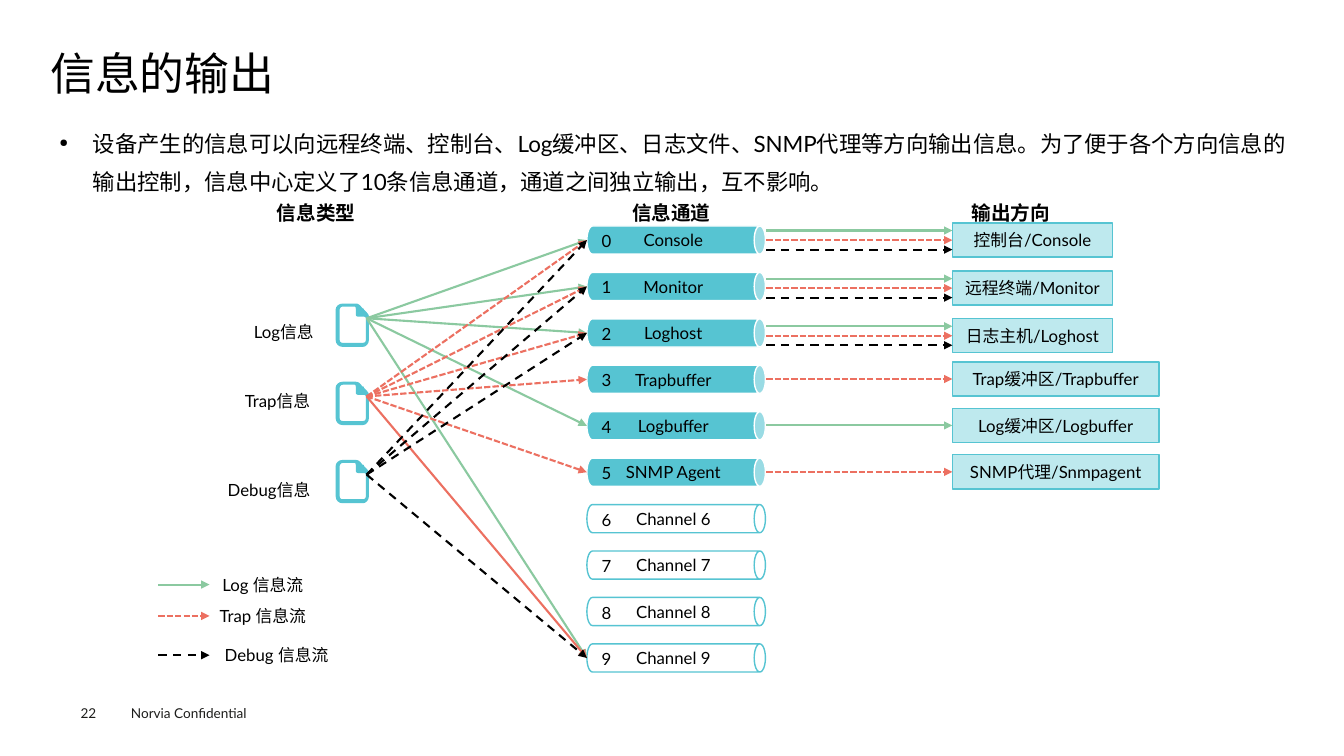
import pptx
import pptx.util
import pptx.dml.color
import pptx.enum.dml
import pptx.enum.shapes
import pptx.enum.text
import pptx.oxml
import pptx.oxml.ns

Cm, Pt = pptx.util.Cm, pptx.util.Pt
RGBColor = pptx.dml.color.RGBColor
Dash = pptx.enum.dml.MSO_LINE
Shape = pptx.enum.shapes.MSO_SHAPE
Align = pptx.enum.text.PP_ALIGN
Anchor = pptx.enum.text.MSO_ANCHOR

BLACK = RGBColor(0x00, 0x00, 0x00)
WHITE = RGBColor(0xFF, 0xFF, 0xFF)
INK = RGBColor(0x1D, 0x1D, 0x1B)
TEAL = RGBColor(0x56, 0xC4, 0xD2)
PALE_TEAL = RGBColor(0xBE, 0xE9, 0xEE)
GREEN = RGBColor(0x8B, 0xC9, 0xA0)
CORAL = RGBColor(0xEC, 0x70, 0x61)
FONT = "Lato"

TITLE = "信息的输出"
INTRO = ("设备产生的信息可以向远程终端、控制台、Log缓冲区、日志文件、SNMP代理等方向输出信息。"
         "为了便于各个方向信息的输出控制，信息中心定义了10条信息通道，通道之间独立输出，互不影响。")
# text, left, width
HEADINGS = [("信息类型", 6.72, 2.5), ("信息通道", 15.67, 2.5), ("输出方向", 24.23, 2.5)]
# kind: colour, dash, channels fed
FLOWS = {
    "Log": (GREEN, None, [0, 1, 2, 4, 9]),
    "Trap": (CORAL, Dash.SQUARE_DOT, [0, 1, 2, 3, 5, 9]),
    "Debug": (BLACK, Dash.DASH, [0, 1, 2, 9]),
}
SOLID_ROUTES = {("Trap", 9)}
# text, left, middle, width
TYPE_LABELS = [("Log信息", 6.4, 8.37, 1.55), ("Trap信息", 6.17, 10.1, 1.8),
               ("Debug信息", 5.74, 12.35, 2.1)]
CHANNELS = ["Console", "Monitor", "Loghost", "Trapbuffer", "Logbuffer", "SNMP Agent",
            "Channel 6", "Channel 7", "Channel 8", "Channel 9"]
USED_CHANNELS = 6
# text, middle, width, kinds that arrive
OUTPUTS = [
    ("控制台/Console", 6.05, 4.04, ["Log", "Trap", "Debug"]),
    ("远程终端/Monitor", 7.26, 4.04, ["Log", "Trap", "Debug"]),
    ("日志主机/Loghost", 8.46, 4.04, ["Log", "Trap", "Debug"]),
    ("Trap缓冲区/Trapbuffer", 9.55, 5.21, ["Trap"]),
    ("Log缓冲区/Logbuffer", 10.72, 5.21, ["Log"]),
    ("SNMP代理/Snmpagent", 11.89, 5.21, ["Trap"]),
]
# kind, middle, text width
LEGEND = [("Log", 14.73, 3.15), ("Trap", 15.52, 3.15), ("Debug", 16.51, 3.84)]

# Document icon in hundredths of an inch: pairs are line ends, sextets are curves
ICON_CONTOURS = [
    [(29, 7), (28, 6, 28, 6, 28, 5), (27, 5, 27, 5, 26, 4), (24, 1, 22, 0, 20, 0), (7, 0),
     (3, 0, 0, 3, 0, 6), (0, 36), (0, 40, 3, 43, 7, 43), (27, 43),
     (30, 43, 33, 40, 33, 36), (33, 13), (33, 11, 32, 10, 29, 7)],
    [(30, 36), (30, 38, 29, 39, 27, 39), (7, 39), (5, 39, 4, 38, 4, 36), (4, 6),
     (4, 5, 5, 3, 7, 3), (19, 3), (20, 3, 20, 5, 20, 6), (20, 11),
     (20, 12, 21, 13, 22, 13), (27, 13), (28, 13, 30, 13, 30, 15), (30, 36)],
]
ICON_LEFT, ICON_TOP, ICON_PITCH = 8.46, 7.65, 1.97
CAN_LEFT, CAN_LENGTH, CAN_DEPTH = 14.79, 4.5, 0.71
CAN_MIDDLE, CAN_PITCH = 6.05, 1.17
OUTPUT_LEFT, OUTPUT_HEIGHT = 24, 0.86
FLOW_GAP = 0.24

deck = pptx.Presentation()
deck.slide_width, deck.slide_height = Cm(33.87), Cm(19.05)
page = deck.slides.add_slide(deck.slide_layouts[5])


def write(frame, text, size, align=Align.LEFT, bold=False, colour=BLACK):
    frame.text = text
    para = frame.paragraphs[0]
    para.alignment = align
    for span in para.runs:
        span.font.name, span.font.size = FONT, Pt(size)
        span.font.bold, span.font.color.rgb = bold, colour
    return para


def clear_margins(frame):
    frame.margin_left = frame.margin_right = frame.margin_top = frame.margin_bottom = 0
    frame.vertical_anchor = Anchor.MIDDLE
    frame.word_wrap = True


def label(text, left, middle, width, size=12, **style):
    height = 0.76
    box = page.shapes.add_textbox(Cm(left), Cm(middle - height / 2), Cm(width), Cm(height))
    clear_margins(box.text_frame)
    write(box.text_frame, text, size, **style)


def paint(shape, fill, outline=None):
    shape.shadow.inherit = False
    shape.fill.solid()
    shape.fill.fore_color.rgb = fill
    if outline is None:
        shape.line.fill.background()
    else:
        shape.line.color.rgb, shape.line.width = outline, Pt(1)


def arrow(kind, x1, y1, x2, y2, solid=False):
    colour, dash, _ = FLOWS[kind]
    line = page.shapes.add_connector(pptx.enum.shapes.MSO_CONNECTOR.STRAIGHT,
                                     Cm(x1), Cm(y1), Cm(x2), Cm(y2))
    line.line.color.rgb, line.line.width = colour, Pt(1.5)
    if dash and not solid:
        line.line.dash_style = dash
    head = pptx.oxml.parse_xml(
        f'<a:tailEnd {pptx.oxml.ns.nsdecls("a")} type="triangle"/>')
    line.line._get_or_add_ln().append(head)
    line._element.spPr.append(
        pptx.oxml.parse_xml(f'<a:effectLst {pptx.oxml.ns.nsdecls("a")}/>'))
    return line


def flatten(contour, steps=4):
    """Turn a contour of lines and cubic curves into points, in tenths of its unit."""
    points = [contour[0]]
    for part in contour[1:]:
        if len(part) == 2:
            points.append(part)
            continue
        corners = [points[-1], part[:2], part[2:4], part[4:]]
        for step in range(1, steps + 1):
            t = step / steps
            weights = [(1 - t) ** 3, 3 * t * (1 - t) ** 2, 3 * t * t * (1 - t), t ** 3]
            points.append(tuple(sum(w * c[axis] for w, c in zip(weights, corners))
                                for axis in (0, 1)))
    return [(x * 10, y * 10) for x, y in points]


def document_icon(top):
    outer, inner = [flatten(contour) for contour in ICON_CONTOURS]
    builder = page.shapes.build_freeform(*outer[0], scale=Cm(2.54) / 1000)
    builder.add_line_segments(outer[1:], close=True)
    builder.move_to(*inner[0])
    builder.add_line_segments(inner[1:], close=True)
    paint(builder.convert_to_shape(Cm(ICON_LEFT), Cm(top)), TEAL)


# Title and introduction
title = page.shapes.title
title.left, title.top, title.width, title.height = Cm(1.27), Cm(1.24), Cm(31.37), Cm(1.35)
clear_margins(title.text_frame)
title.text_frame.auto_size = pptx.enum.text.MSO_AUTO_SIZE.NONE
write(title.text_frame, TITLE, 32).line_spacing = 0.9

intro = page.shapes.add_textbox(Cm(1.27), Cm(2.92), Cm(31.37), Cm(2.2))
intro.text_frame.word_wrap = True
intro.text_frame.margin_left = intro.text_frame.margin_right = Cm(0.23)
intro.text_frame.margin_top = intro.text_frame.margin_bottom = Cm(0.1)
para = write(intro.text_frame, INTRO, 16, Align.JUSTIFY)
para.line_spacing = 1.4
properties = para._p.get_or_add_pPr()
properties.set("marL", str(Cm(0.84)))
properties.set("indent", str(-Cm(0.84)))
for tag in ('buSzPct val="50000"', 'buChar char="●"'):
    properties.append(pptx.oxml.parse_xml(f'<a:{tag} {pptx.oxml.ns.nsdecls("a")}/>'))

# Channels
can_middles = [CAN_MIDDLE + CAN_PITCH * i for i in range(len(CHANNELS))]
for i, middle in enumerate(can_middles):
    can = page.shapes.add_shape(
        Shape.CAN, Cm(CAN_LEFT + (CAN_LENGTH - CAN_DEPTH) / 2), Cm(middle - CAN_LENGTH / 2),
        Cm(CAN_DEPTH), Cm(CAN_LENGTH))
    can.rotation = 90
    can.adjustments[0] = 0.4
    paint(can, *((TEAL, WHITE) if i < USED_CHANNELS else (WHITE, TEAL)))
for i, (name, middle) in enumerate(zip(CHANNELS, can_middles)):
    label(name, 15.47, middle, 3, align=Align.CENTER)
    label(str(i), 15.16, middle + 0.02, 0.5)

# Information types and their routes into the channels
for text, left, middle, width in TYPE_LABELS:
    label(text, left, middle, width)
for i, (kind, (_, _, targets)) in enumerate(FLOWS.items()):
    top = ICON_TOP + ICON_PITCH * i
    document_icon(top)
    for target in targets:
        arrow(kind, 9.24, top + 0.37, CAN_LEFT, can_middles[target],
              solid=(kind, target) in SOLID_ROUTES)

# Output directions
for text, middle, width, kinds in OUTPUTS:
    output = page.shapes.add_shape(Shape.RECTANGLE, Cm(OUTPUT_LEFT),
                                   Cm(middle - OUTPUT_HEIGHT / 2), Cm(width), Cm(OUTPUT_HEIGHT))
    paint(output, PALE_TEAL, TEAL)
    clear_margins(output.text_frame)
    write(output.text_frame, text, 12, Align.CENTER)
    for i, kind in enumerate(kinds):
        offset = FLOW_GAP * (i - (len(kinds) - 1) / 2)
        flow = arrow(kind, 19.31, middle + offset, OUTPUT_LEFT, middle + offset)
        if offset == 0:
            flow.end_connect(output, 1)

for text, left, width in HEADINGS:
    label(text, left, 5.36, width, 14, align=Align.CENTER, bold=True)

for kind, middle, width in LEGEND:
    arrow(kind, 3.99, middle, 5.28, middle)
    label(f"{kind} 信息流", 5.05, middle, width, align=Align.CENTER)

label("22", 2.03, 17.98, 1, 9.7, colour=INK)
label("Norvia Confidential", 3.3, 17.98, 4, 9.7, colour=INK)

deck.save("out.pptx")
